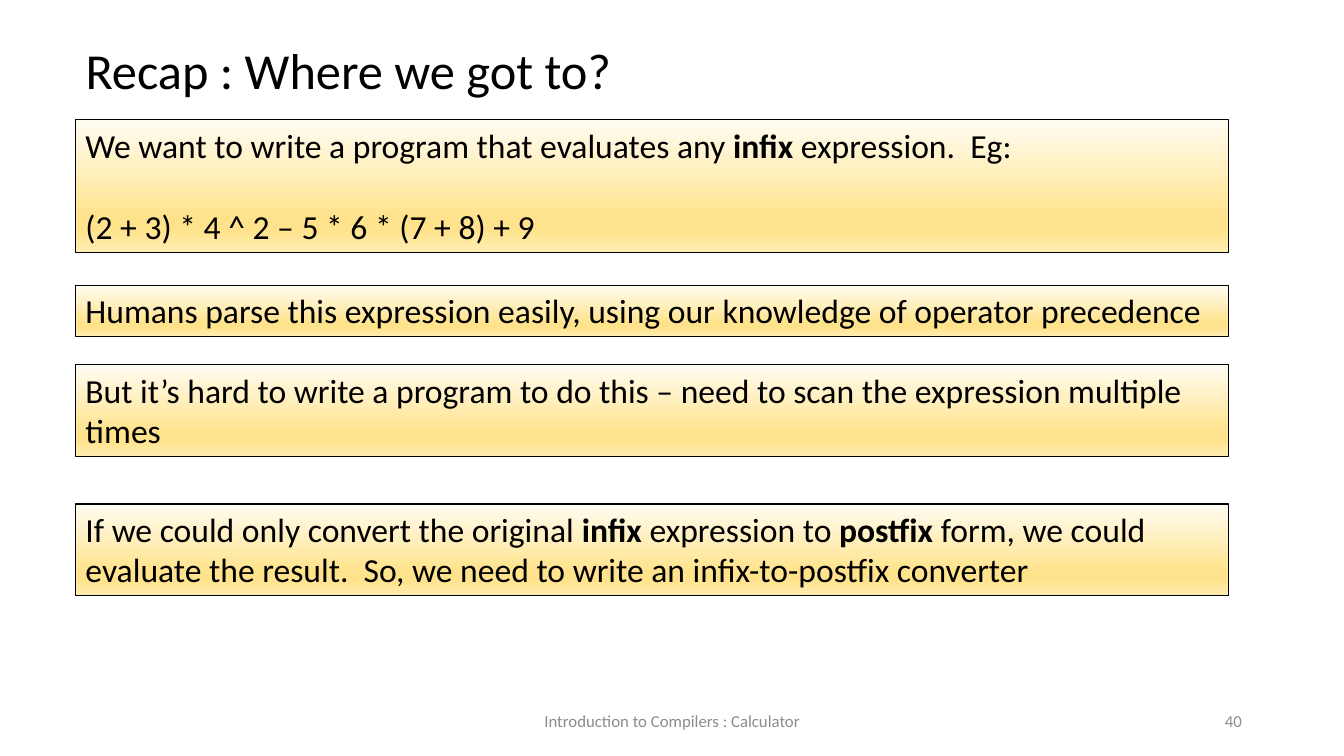
from copy import deepcopy
from dataclasses import dataclass

from pptx import Presentation
from pptx.dml.color import RGBColor
from pptx.enum.shapes import MSO_SHAPE
from pptx.enum.text import MSO_ANCHOR, PP_ALIGN
from pptx.oxml.ns import qn
from pptx.util import Pt

RECT = MSO_SHAPE.RECTANGLE
TOP, MIDDLE = MSO_ANCHOR.TOP, MSO_ANCHOR.MIDDLE
LEFT, CENTER, RIGHT = PP_ALIGN.LEFT, PP_ALIGN.CENTER, PP_ALIGN.RIGHT


@dataclass(frozen=True)
class Theme:
    font: str = "Calibri"
    ink: str = "000000"
    muted: str = "8C8C8C"
    title: float = 36
    body: float = 24
    small: float = 12
    line: float = 0.75
    gap: float = 29.3  # one body line
    stops: tuple = ((0, "FFFCF2"), (0.74, "FFE38C"),
                    (0.83, "FFE38C"), (1, "FFECB2"))


@dataclass(frozen=True)
class Label:
    text: str
    left: float
    top: float
    width: float
    height: float
    size: float
    color: str
    align: PP_ALIGN = LEFT
    anchor: MSO_ANCHOR = TOP


@dataclass(frozen=True)
class Panel:
    top: float
    height: float
    lines: tuple  # bars enclose bold words


THEME = Theme()
EDGE, WIDTH = 54, 823.7

LABELS = (
    Label("Recap : Where we got to?", EDGE, 24.5, 468.7, 51.1,
          THEME.title, THEME.ink),
    Label("Introduction to Compilers : Calculator", 318.2, 500.4, 324, 28.8,
          THEME.small, THEME.muted, CENTER, MIDDLE),
    Label("40", 678.2, 500.4, 216, 28.8,
          THEME.small, THEME.muted, RIGHT, MIDDLE),
)

PANELS = (
    Panel(85.7, 94.5, (
        "We want to write a program that evaluates any |infix| expression.  Eg:",
        "(2 + 3) * 4 ^ 2 – 5 * 6 * (7 + 8) + 9")),
    Panel(203.8, 36.3, (
        "Humans parse this expression easily, using our knowledge of "
        "operator precedence",)),
    Panel(260.6, 65.4, (
        "But it’s hard to write a program to do this – need to scan the "
        "expression multiple times",)),
    Panel(360, 65.4, (
        "If we could only convert the original |infix| expression to |postfix| "
        "form, we could evaluate the result.  So, we need to write an "
        "infix-to-postfix converter",)),
)


def write(frame, lines: tuple, size: float, color: str,
          align: PP_ALIGN = LEFT, anchor: MSO_ANCHOR = TOP) -> None:
    frame.word_wrap = True
    frame.vertical_anchor = anchor
    for i, line in enumerate(lines):
        para = frame.add_paragraph() if i else frame.paragraphs[0]
        para.alignment = align
        para.space_before = Pt(THEME.gap if i else 0)
        para.font.name = THEME.font
        para.font.size = Pt(size)
        para.font.color.rgb = RGBColor.from_string(color)
        for j, part in enumerate(line.split("|")):
            run = para.add_run()
            run.text = part
            if j % 2:
                run.font.bold = True


def shade(shape) -> None:
    fill = shape.fill
    fill.gradient()
    fill.gradient_angle = 270
    stops = shape._element.spPr.find(qn("a:gradFill")).find(qn("a:gsLst"))
    while len(stops) < len(THEME.stops):
        stops.append(deepcopy(stops[0]))
    for stop, (place, color) in zip(fill.gradient_stops, THEME.stops):
        stop.position = place
        stop.color.rgb = RGBColor.from_string(color)


def draw_label(slide, label: Label) -> None:
    box = slide.shapes.add_textbox(Pt(label.left), Pt(label.top),
                                   Pt(label.width), Pt(label.height))
    write(box.text_frame, (label.text,), label.size, label.color,
          label.align, label.anchor)


def draw_panel(slide, panel: Panel) -> None:
    shape = slide.shapes.add_shape(RECT, Pt(EDGE), Pt(panel.top),
                                   Pt(WIDTH), Pt(panel.height))
    shape.shadow.inherit = False
    shade(shape)
    shape.line.color.rgb = RGBColor.from_string(THEME.ink)
    shape.line.width = Pt(THEME.line)
    write(shape.text_frame, panel.lines, THEME.body, THEME.ink)


# Blank slide
deck = Presentation()
deck.slide_width, deck.slide_height = Pt(960), Pt(540)
slide = deck.slides.add_slide(deck.slide_layouts[6])

# Title and footer
for label in LABELS:
    draw_label(slide, label)

# Recap panels
for panel in PANELS:
    draw_panel(slide, panel)

deck.save("out.pptx")
